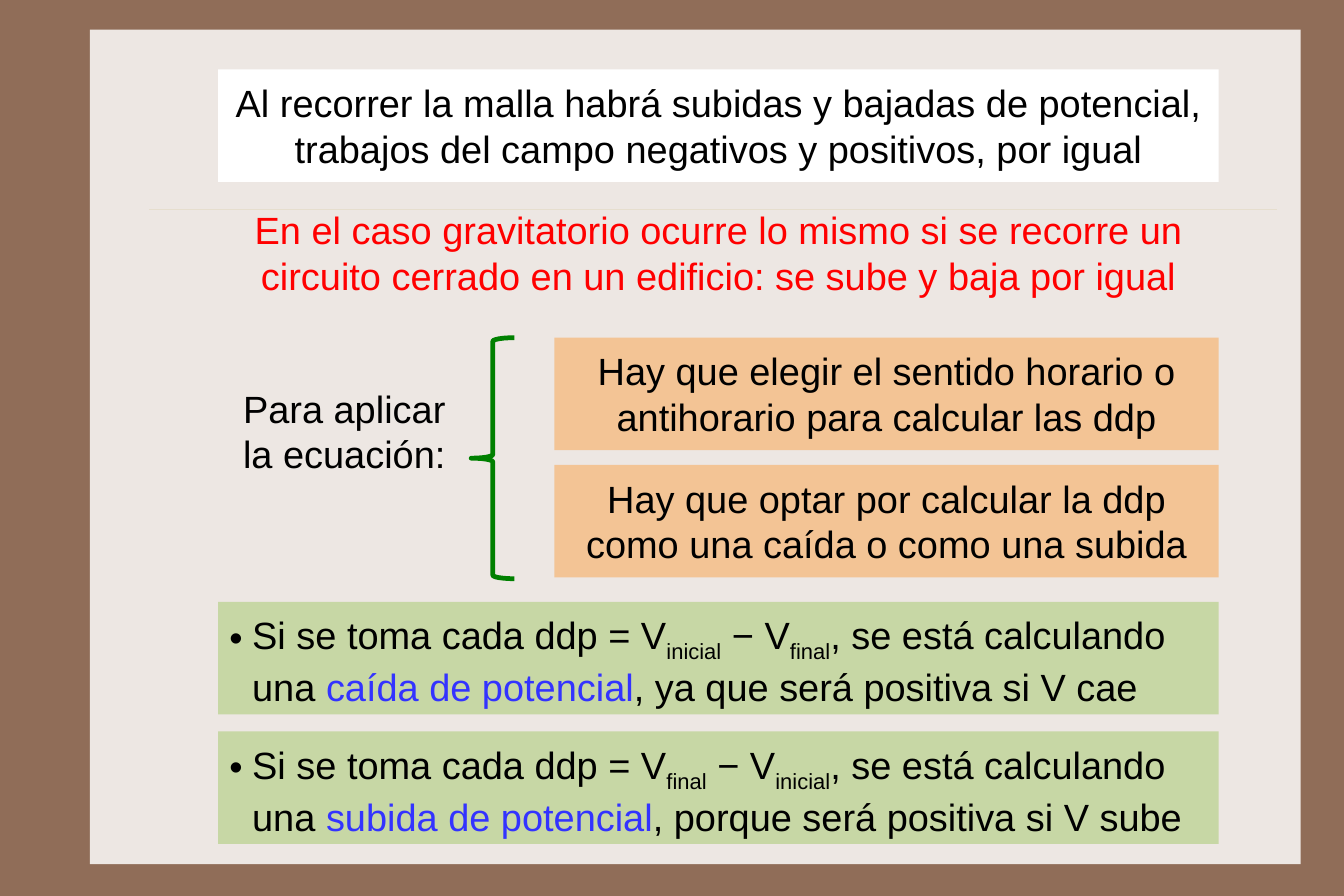
"""Build the slide on potential rises and drops around a closed loop."""
from lxml.etree import SubElement
from pptx import Presentation
from pptx.dml.color import RGBColor
from pptx.enum.shapes import MSO_CONNECTOR, MSO_SHAPE
from pptx.enum.text import MSO_ANCHOR, PP_ALIGN
from pptx.oxml.ns import qn
from pptx.util import Inches, Pt

COLORS = {"bg": "906D58", "panel": "EDE7E3", "rule": "CBBD83", "white": "FFFFFF",
          "peach": "F3C495", "green": "C7D7A5", "brace": "008000",
          "text": "000000", "red": "FF0000", "blue": "3333FF"}
RGB = {name: RGBColor.from_string(value) for name, value in COLORS.items()}
FRAME = {"word_wrap": True, "vertical_anchor": MSO_ANCHOR.TOP,
         "margin_left": Inches(0.1), "margin_right": Inches(0.1),
         "margin_top": Inches(0.09), "margin_bottom": Inches(0.09)}
TIGHT_FRAME = FRAME | {"margin_top": Inches(0.05), "margin_bottom": Inches(0.05)}
FONT = {"name": "Arial", "size": Pt(24)}

prs = Presentation()
prs.slide_width, prs.slide_height = Pt(850.5), Pt(567)
s = prs.slides.add_slide(prs.slide_layouts[6])
s.background.fill.solid()
s.background.fill.fore_color.rgb = RGB["bg"]


def place(x, y, w, h):
    """Turn percentages of the slide into lengths."""
    return [int(share * side / 100) for share, side in
            zip((x, y, w, h), (prs.slide_width, prs.slide_height) * 2)]


def add_box(area, fill, runs=(), frame=FRAME, align=PP_ALIGN.CENTER):
    """Add a filled or plain box holding one paragraph of (text, colour, baseline) runs."""
    if fill:
        sp = s.shapes.add_shape(MSO_SHAPE.RECTANGLE, *place(*area))
        sp.shadow.inherit = False
        sp.fill.solid()
        sp.fill.fore_color.rgb = RGB[fill]
        sp.line.fill.background()
    else:
        sp = s.shapes.add_textbox(*place(*area))
    tf = sp.text_frame
    for key, value in frame.items():
        setattr(tf, key, value)
    p = tf.paragraphs[0]
    p.alignment = align
    for text, color, baseline in runs:
        r = p.add_run()
        r.text = text
        for key, value in FONT.items():
            setattr(r.font, key, value)
        r.font.color.rgb = RGB[color]
        if baseline:
            r.font._element.set("baseline", str(baseline))
    return p


LEFT, WIDTH, HEIGHT = 16.24, 74.43, 12.56
INDENT = 25
BRACE_TOP, PEACH_STEP = 37.69, 14.21
GREEN_TOP, GREEN_STEP = 67.17, 14.47

add_box((6.69, 3.3, 90.09, 93.15), "panel")

x1, y1, x2, y2 = place(11.09, 23.35, 95, 23.35)
rule = s.shapes.add_connector(MSO_CONNECTOR.STRAIGHT, x1, y1, x2, y2)
rule.line.color.rgb = RGB["rule"]
rule.line.width = Pt(0.25)
for clr in rule._element.spPr.iter(qn("a:srgbClr")):
    SubElement(clr, qn("a:alpha"), val="60000")
SubElement(rule._element.spPr, qn("a:effectLst"))

messages = [
    ((LEFT, 7.74, WIDTH, HEIGHT), "white", "text", FRAME,
     "Al recorrer la malla habrá subidas y bajadas de potencial, "
     "trabajos del campo negativos y positivos, por igual"),
    ((LEFT, 22.46, WIDTH, 11.55), None, "red", TIGHT_FRAME,
     "En el caso gravitatorio ocurre lo mismo si se recorre un "
     "circuito cerrado en un edificio: se sube y baja por igual"),
    ((16, 41.88, 19.22, HEIGHT), None, "text", FRAME, "Para aplicar la ecuación:"),
]
choices = ["Hay que elegir el sentido horario o antihorario para calcular las ddp",
           "Hay que optar por calcular la ddp como una caída o como una subida"]
for row, text in enumerate(choices):
    area = (LEFT + INDENT, BRACE_TOP + row * PEACH_STEP, WIDTH - INDENT, HEIGHT)
    messages.append((area, "peach", "text", FRAME, text))
for area, fill, color, frame, text in messages:
    add_box(area, fill, [(text, color, 0)], frame)

brace = s.shapes.add_shape(MSO_SHAPE.LEFT_BRACE, *place(35.06, BRACE_TOP, 3.22, 26.9))
brace.shadow.inherit = False
brace.fill.background()
brace.line.color.rgb = RGB["brace"]
brace.line.width = Pt(3)

rules = [("inicial", "final", "caída de potencial", ", ya que será positiva si V cae"),
         ("final", "inicial", "subida de potencial", ", porque será positiva si V sube")]
for row, (first, second, name, reason) in enumerate(rules):
    runs = [("Si se toma cada ddp = V", "text", 0), (first, "text", -25000),
            (" − V", "text", 0), (second, "text", -25000),
            (", se está calculando una ", "text", 0), (name, "blue", 0), (reason, "text", 0)]
    p = add_box((LEFT, GREEN_TOP + row * GREEN_STEP, WIDTH, HEIGHT), "green", runs,
                align=PP_ALIGN.LEFT)
    pPr = p._p.get_or_add_pPr()
    pPr.set("marL", str(Inches(0.2)))
    pPr.set("indent", str(-Inches(0.2)))
    SubElement(pPr, qn("a:buFont"), typeface="Arial")
    SubElement(pPr, qn("a:buChar"), char="•")

prs.save("out.pptx")
